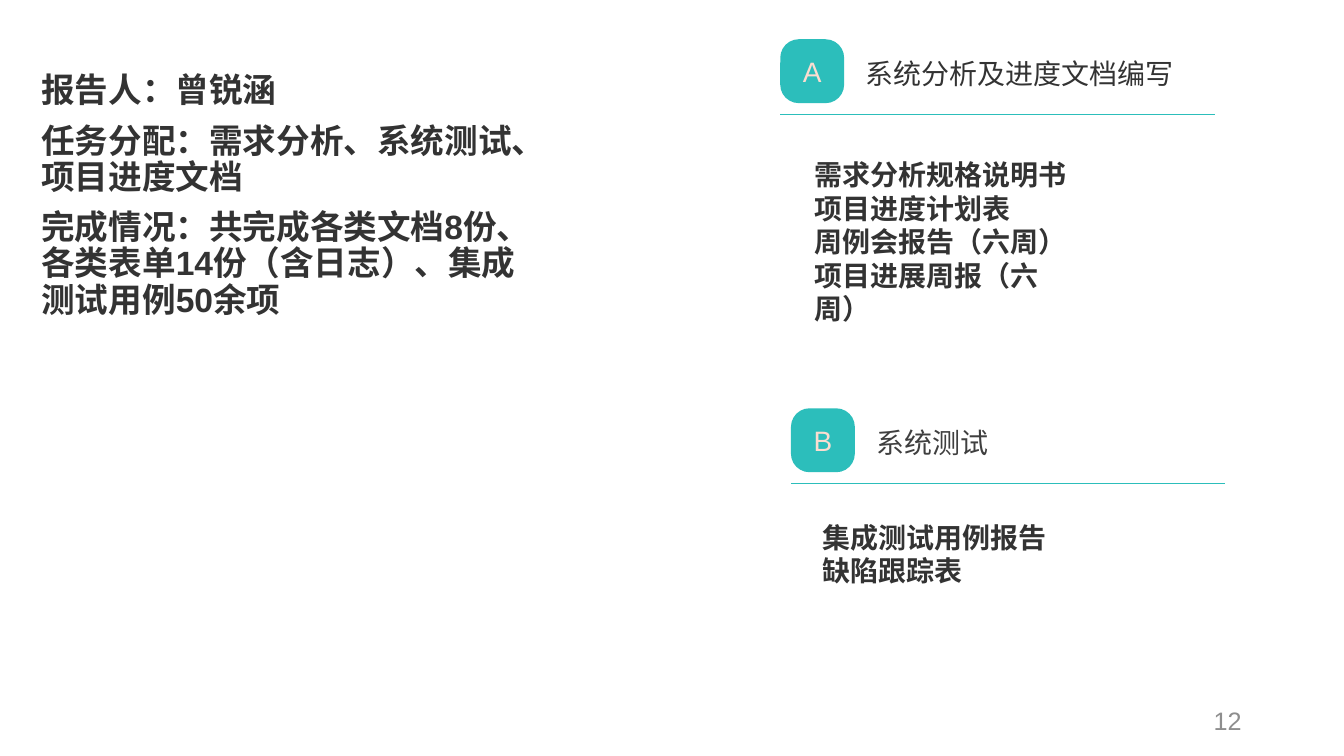
from dataclasses import dataclass

from lxml.etree import SubElement
from pptx import Presentation
from pptx.dml.color import RGBColor
from pptx.enum.lang import MSO_LANGUAGE_ID
from pptx.enum.shapes import MSO_CONNECTOR, MSO_SHAPE
from pptx.enum.text import MSO_ANCHOR, MSO_AUTO_SIZE, PP_ALIGN
from pptx.oxml.ns import qn
from pptx.slide import Slide
from pptx.text.text import TextFrame
from pptx.util import Cm, Pt


@dataclass(frozen=True)
class Theme:
    font: str = "Arial"
    teal: str = "2CBEBB"
    cream: str = "FBDDD0"
    dark: str = "333333"
    soft: str = "3F3F3F"
    grey: str = "8E8E8E"
    large: int = 24
    mid: int = 20
    small: int = 18
    rule: float = 0.5


@dataclass(frozen=True)
class Box:
    left: float
    top: float
    width: float
    height: float

    def lengths(self) -> tuple[Cm, Cm, Cm, Cm]:
        return Cm(self.left), Cm(self.top), Cm(self.width), Cm(self.height)


@dataclass(frozen=True)
class Header:
    letter: str
    title: str
    left: float
    top: float
    color: str


@dataclass(frozen=True)
class Block:
    index: int
    box: Box
    lines: tuple[str, ...]
    size: int
    before: int = 0
    spacing: float = 1.0


THEME = Theme()
BADGE = 1.61
OFFSET = 1.9
RULE = 10.95

HEADERS = (
    Header("A", "系统分析及进度文档编写", 19.67, 0.99, THEME.dark),
    Header("B", "系统测试", 19.94, 10.29, THEME.soft),
)
BLOCKS = (
    Block(1, Box(0.79, 1.73, 13.13, 7.04), (
        "报告人：曾锐涵",
        "任务分配：需求分析、系统测试、项目进度文档",
        "完成情况：共完成各类文档8份、各类表单14份（含日志）、集成测试用例50余项",
    ), THEME.large, 10, 0.9),
    Block(2, Box(20.27, 3.84, 7.19, 4.5), (
        "需求分析规格说明书",
        "项目进度计划表",
        "周例会报告（六周）",
        "项目进展周报（六周）",
    ), THEME.mid),
    Block(4, Box(20.47, 12.98, 7.34, 1.96), (
        "集成测试用例报告",
        "缺陷跟踪表",
    ), THEME.mid),
)


def style(frame: TextFrame, size: int, color: str, bold: bool = False,
          align: PP_ALIGN = PP_ALIGN.LEFT,
          anchor: MSO_ANCHOR = MSO_ANCHOR.MIDDLE) -> None:
    frame.word_wrap = True
    frame.auto_size = MSO_AUTO_SIZE.NONE
    frame.vertical_anchor = anchor
    for line in frame.paragraphs:
        line.alignment = align
        for run in line.runs:
            font = run.font
            font.name = THEME.font
            font.size = Pt(size)
            font.bold = bold
            font.color.rgb = RGBColor.from_string(color)
            font.language_id = MSO_LANGUAGE_ID.SIMPLIFIED_CHINESE


def add_label(slide: Slide, box: Box, text: str, size: int, color: str,
              align: PP_ALIGN = PP_ALIGN.LEFT) -> None:
    frame = slide.shapes.add_textbox(*box.lengths()).text_frame
    frame.text = text
    style(frame, size, color, align=align)


def add_header(slide: Slide, head: Header) -> None:
    box = Box(head.left + OFFSET, head.top - 0.03, 9.04, 1.78)
    add_label(slide, box, head.title, THEME.mid, head.color)

    box = Box(head.left, head.top, BADGE, BADGE)
    badge = slide.shapes.add_shape(MSO_SHAPE.ROUNDED_RECTANGLE, *box.lengths())
    badge.adjustments[0] = 0.29
    badge.shadow.inherit = False
    badge.fill.solid()
    badge.fill.fore_color.rgb = RGBColor.from_string(THEME.teal)
    badge.line.fill.background()
    badge.text_frame.text = head.letter
    style(badge.text_frame, THEME.mid, THEME.cream, align=PP_ALIGN.CENTER)

    level = Cm(head.top + OFFSET)
    rule = slide.shapes.add_connector(
        MSO_CONNECTOR.STRAIGHT, Cm(head.left), level, Cm(head.left + RULE), level)
    rule.line.color.rgb = RGBColor.from_string(THEME.teal)
    rule.line.width = Pt(THEME.rule)
    SubElement(rule.element.spPr, qn("a:effectLst"))


def fill_block(slide: Slide, block: Block) -> None:
    """Move a body placeholder into place and fill it with unbulleted lines."""
    shape = next(item for item in slide.placeholders
                 if item.placeholder_format.idx == block.index)
    shape.left, shape.top, shape.width, shape.height = block.box.lengths()
    frame = shape.text_frame
    frame.text = "\n".join(block.lines)
    style(frame, block.size, THEME.dark, bold=True, anchor=MSO_ANCHOR.TOP)
    for line in frame.paragraphs:
        line.space_before = Pt(block.before)
        line.line_spacing = block.spacing
        props = line._p.get_or_add_pPr()
        props.set("marL", "0")
        props.set("indent", "0")
        SubElement(props, qn("a:buNone"))


def main() -> None:
    deck = Presentation()
    deck.slide_width, deck.slide_height = Cm(33.88), Cm(19.05)
    slide = deck.slides.add_slide(deck.slide_layouts.get_by_name("Comparison"))

    for block in BLOCKS:
        fill_block(slide, block)
    for head in HEADERS:
        add_header(slide, head)
    add_label(slide, Box(23.93, 17.65, 7.62, 1.02), "12",
              THEME.small, THEME.grey, PP_ALIGN.RIGHT)

    for item in list(slide.placeholders):
        if not item.text_frame.text:
            item.element.getparent().remove(item.element)
    deck.save("out.pptx")


if __name__ == "__main__":
    main()
